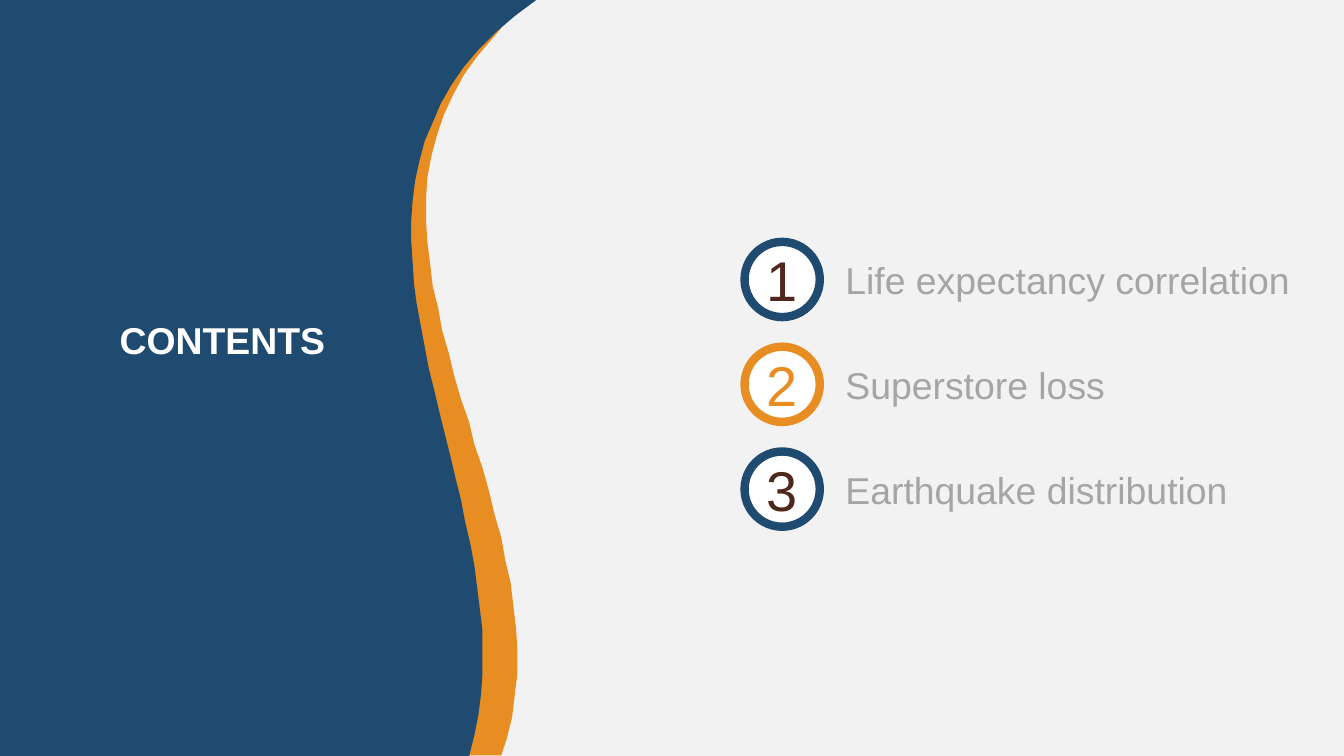
from pptx import Presentation
from pptx.dml.color import RGBColor
from pptx.enum.shapes import MSO_SHAPE
from pptx.enum.text import MSO_ANCHOR, MSO_AUTO_SIZE, PP_ALIGN
from pptx.util import Inches, Pt

OVAL = MSO_SHAPE.OVAL
TOP, MIDDLE = MSO_ANCHOR.TOP, MSO_ANCHOR.MIDDLE
LEFT, CENTER = PP_ALIGN.LEFT, PP_ALIGN.CENTER
NO_FIT = MSO_AUTO_SIZE.NONE
COLORS = {name: RGBColor.from_string(value) for name, value in {
    "background": "F2F2F2", "navy": "1F4B70", "orange": "E88D22",
    "brown": "4F271C", "gray": "A5A5A5", "white": "FFFFFF",
}.items()}


def write(shape, text, size=20, color="gray", bold=False, align=LEFT, anchor=MIDDLE):
    frame = shape.text_frame
    frame.word_wrap = True
    frame.auto_size = NO_FIT
    frame.vertical_anchor = anchor
    frame.margin_left = frame.margin_right = 0
    frame.margin_top = frame.margin_bottom = 0
    para = frame.paragraphs[0]
    para.alignment = align
    span = para.add_run()
    span.text = text
    span.font.name = "Arial"
    span.font.size = Pt(size)
    span.font.bold = bold
    span.font.color.rgb = COLORS[color]


# Widescreen page, 16:9
deck = Presentation()
deck.slide_width = Inches(10)
deck.slide_height = deck.slide_width * 9 // 16
page = deck.slides.add_slide(deck.slide_layouts[5])
page.background.fill.solid()
page.background.fill.fore_color.rgb = COLORS["background"]

# Wavy side panel: right-hand edge of each layer, from top to bottom
orange_edge = [
    (3.73, 0.21), (3.67, 0.28), (3.55, 0.42), (3.45, 0.56), (3.37, 0.71),
    (3.3, 0.86), (3.25, 1.01), (3.21, 1.16), (3.18, 1.32), (3.17, 1.48),
    (3.17, 1.64), (3.18, 1.8), (3.2, 1.96), (3.22, 2.13), (3.26, 2.29),
    (3.29, 2.46), (3.34, 2.63), (3.38, 2.8), (3.43, 2.97), (3.49, 3.14),
    (3.53, 3.31), (3.59, 3.48), (3.64, 3.66), (3.68, 3.83), (3.73, 4),
    (3.76, 4.17), (3.8, 4.34), (3.82, 4.51), (3.84, 4.68), (3.85, 4.84),
    (3.85, 5.01), (3.83, 5.17), (3.81, 5.34), (3.77, 5.5), (3.73, 5.62),
]
navy_edge = [
    (3.99, 0), (3.83, 0.12), (3.69, 0.24), (3.56, 0.37), (3.45, 0.5),
    (3.36, 0.63), (3.28, 0.77), (3.22, 0.91), (3.16, 1.05), (3.12, 1.2),
    (3.09, 1.34), (3.07, 1.49), (3.06, 1.64), (3.06, 1.8), (3.07, 1.95),
    (3.08, 2.11), (3.1, 2.26), (3.13, 2.42), (3.16, 2.58), (3.19, 2.74),
    (3.23, 2.9), (3.27, 3.07), (3.31, 3.23), (3.35, 3.39), (3.39, 3.56),
    (3.43, 3.72), (3.46, 3.88), (3.5, 4.05), (3.53, 4.21), (3.55, 4.37),
    (3.57, 4.53), (3.59, 4.69), (3.59, 4.85), (3.59, 5.01), (3.58, 5.16),
    (3.56, 5.32), (3.53, 5.47), (3.49, 5.63),
]
for color, left, edge in [("orange", 0.04, orange_edge), ("navy", 0, navy_edge)]:
    outline = [(left, edge[0][1]), *edge, (left, edge[-1][1])]
    points = [(Inches(x), Inches(y)) for x, y in outline]
    builder = page.shapes.build_freeform(*points[0])
    builder.add_line_segments(points[1:], close=True)
    wave = builder.convert_to_shape()
    wave.shadow.inherit = False
    wave.fill.solid()
    wave.fill.fore_color.rgb = COLORS[color]
    wave.line.fill.background()

# Title, brought in front of the panel
title = page.shapes.title
title.left, title.top = Inches(0.55), Inches(2.36)
title.width, title.height = Inches(2.21), Inches(0.33)
write(title, "CONTENTS", color="white", bold=True, align=CENTER, anchor=TOP)
page.shapes._spTree.append(title._element)

# Numbered topics
topics = [
    ("Life expectancy correlation", 3.53, "navy", "brown"),
    ("Superstore loss", 2.1, "orange", "orange"),
    ("Earthquake distribution", 3.71, "navy", "brown"),
]
for index, (topic, width, ring, digit) in enumerate(topics):
    top = 1.8 + 0.78 * index
    badge = page.shapes.add_shape(
        OVAL, Inches(5.54), Inches(top), Inches(0.56), Inches(0.56))
    badge.shadow.inherit = False
    badge.fill.solid()
    badge.fill.fore_color.rgb = COLORS["white"]
    badge.line.color.rgb = COLORS[ring]
    badge.line.width = Pt(4.5)
    write(badge, str(index + 1), size=30, color=digit, align=CENTER)

    label = page.shapes.add_textbox(
        Inches(6.29), Inches(top + 0.03), Inches(width), Inches(0.5))
    write(label, topic)

deck.save("out.pptx")
